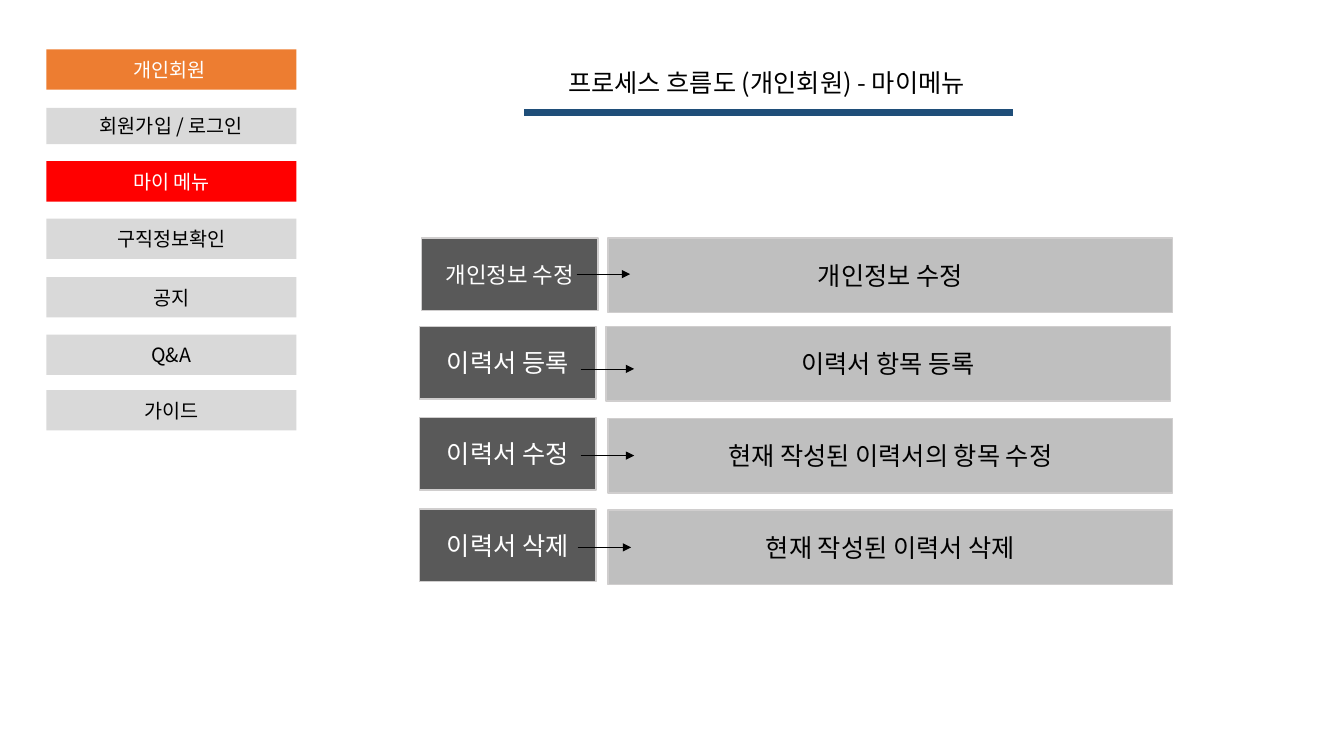
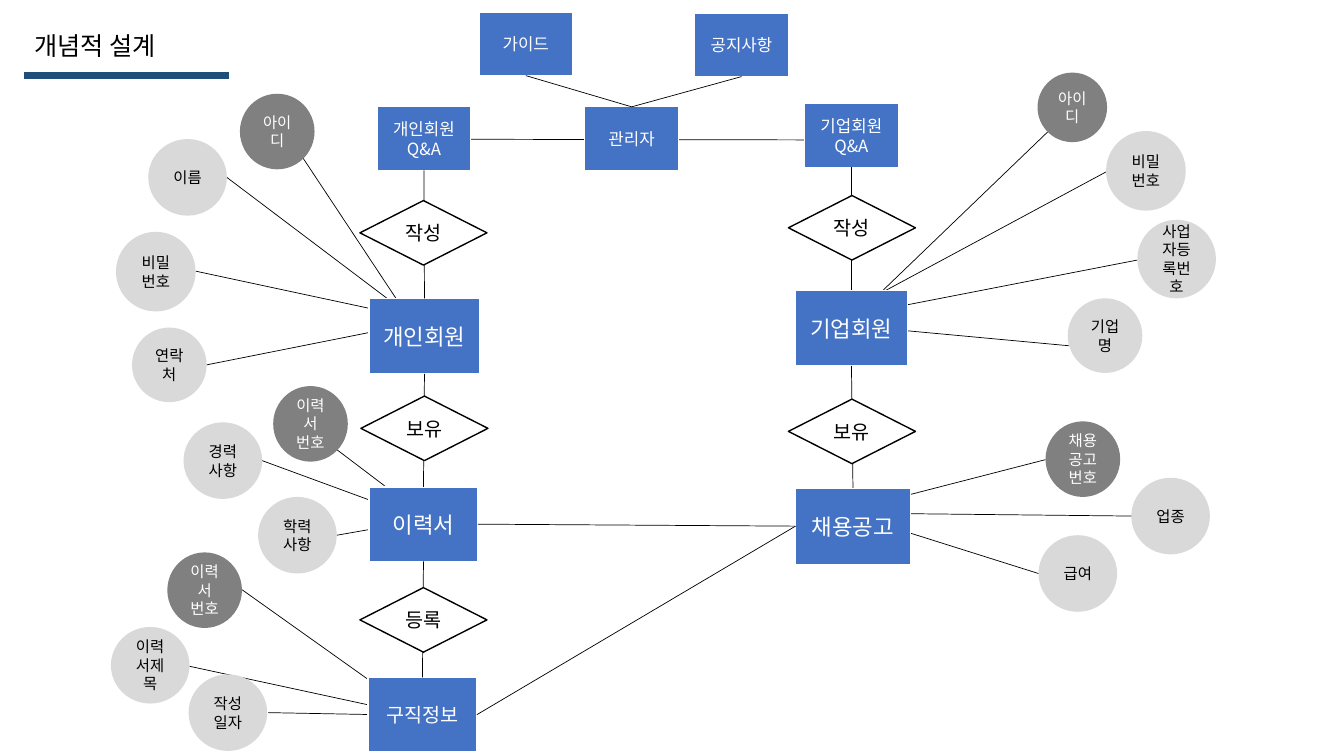
"""Build two slides: a member-menu process flow and a conceptual entity diagram."""
from lxml.etree import SubElement
from pptx import Presentation
from pptx.dml.color import RGBColor
from pptx.enum.shapes import MSO_CONNECTOR, MSO_SHAPE
from pptx.enum.text import MSO_ANCHOR, MSO_AUTO_SIZE, PP_ALIGN
from pptx.oxml.ns import qn
from pptx.util import Pt

EMU_PER_PX = 9144
SLIDE_WIDTH, SLIDE_HEIGHT = 1333, 750
FONT = "Noto Sans CJK KR"

BLACK = RGBColor(0x00, 0x00, 0x00)
WHITE = RGBColor(0xFF, 0xFF, 0xFF)
NAVY = RGBColor(0x1F, 0x4E, 0x79)
BLUE = RGBColor(0x44, 0x72, 0xC4)
ORANGE = RGBColor(0xED, 0x7D, 0x31)
RED = RGBColor(0xFF, 0x00, 0x00)
CHARCOAL = RGBColor(0x59, 0x59, 0x59)
GRAY = RGBColor(0x80, 0x80, 0x80)
SILVER = RGBColor(0xBF, 0xBF, 0xBF)
LIGHT_GRAY = RGBColor(0xD9, 0xD9, 0xD9)
BORDER_GRAY = RGBColor(0xD0, 0xCE, 0xCE)

MENU_STYLE = {"fill": LIGHT_GRAY, "color": BLACK, "size": 14}
STEP_STYLE = {"fill": CHARCOAL, "color": WHITE, "border": BORDER_GRAY}
RESULT_STYLE = {"fill": SILVER, "color": BLACK, "size": 18, "border": BORDER_GRAY}
ENTITY_STYLE = {"fill": BLUE, "color": WHITE, "border": WHITE}
RELATION_STYLE = {"fill": WHITE, "color": BLACK, "size": 14, "border": BLACK,
                  "preset": MSO_SHAPE.DIAMOND}
ATTRIBUTE_STYLE = {"fill": LIGHT_GRAY, "color": BLACK, "size": 11, "preset": MSO_SHAPE.OVAL}
KEY_STYLE = {**ATTRIBUTE_STYLE, "fill": GRAY, "color": WHITE}

FLOW_TITLE = {"text": "프로세스 흐름도 (개인회원) - 마이메뉴 ", "box": (520, 62, 486, 40),
              "align": PP_ALIGN.CENTER, "underline": (520, 112, 1005, 112)}
DESIGN_TITLE = {"text": "개념적 설계", "box": (24, 25, 211, 40),
                "align": PP_ALIGN.LEFT, "underline": (24, 75, 227, 75)}

MENU_LEFT, MENU_WIDTH = 46, 248
MENU = [
    ("개인회원 ", 49, 40, {"fill": ORANGE, "color": WHITE}),
    ("회원가입 / 로그인", 107, 36, {}),
    ("마이 메뉴", 160, 40, {"fill": RED, "color": WHITE}),
    ("구직정보확인", 217, 40, {}),
    ("공지", 275, 40, {}),
    ("Q&A", 332, 40, {}),
    ("가이드", 387, 40, {}),
]

STEP_SIZE, RESULT_SIZE, ARROW_LENGTH = (175, 72), (560, 74), 53
STEPS = [
    ("개인정보 수정", 16, (418, 236), "개인정보 수정", (603, 236), (572, 272)),
    ("이력서 등록", 18, (416, 324), "이력서 항목 등록", (601, 324), (576, 366)),
    ("이력서 수정", 18, (416, 414), "현재 작성된 이력서의 항목 수정", (603, 415), (576, 452)),
    ("이력서 삭제", 18, (416, 505), "현재 작성된 이력서 삭제", (603, 506), (573, 543)),
]

ENTITIES = [
    ("가이드", 12, (475, 12, 93, 63)),
    ("공지사항", 12, (689, 13, 93, 63)),
    ("관리자", 12, (580, 106, 93, 63)),
    ("개인회원\nQ&A", 12, (374, 106, 93, 63)),
    ("기업회원\nQ&A", 12, (798, 103, 93, 63)),
    ("개인회원", 16, (366, 296, 110, 75)),
    ("기업회원", 16, (789, 288, 111, 75)),
    ("이력서", 16, (366, 483, 108, 74)),
    ("채용공고", 16, (789, 484, 114, 76)),
    ("구직정보", 14, (365, 672, 108, 74)),
]

TOP, LEFT, BOTTOM, RIGHT = range(4)
LINKS = [
    ("가이드", BOTTOM, "관리자", TOP),
    ("공지사항", BOTTOM, "관리자", TOP),
    ("개인회원\nQ&A", BOTTOM, "개인회원", TOP),
    ("개인회원", BOTTOM, "이력서", TOP),
    ("이력서", BOTTOM, "구직정보", TOP),
    ("기업회원\nQ&A", BOTTOM, "기업회원", TOP),
    ("기업회원", BOTTOM, "채용공고", TOP),
    ("이력서", RIGHT, "채용공고", LEFT),
    ("구직정보", RIGHT, "채용공고", LEFT),
]
QUESTION_LINE = (374, 138, 891, 139)

RELATION_SIZE = (126, 64)
RELATIONS = [
    ("작성", (357, 199)), ("보유", (358, 393)), ("등록", (357, 583)),
    ("작성", (782, 194)), ("보유", (782, 396)),
]

KEY_ATTRIBUTES = [
    ("아이디", (238, 93, 74, 75), (300, 156, 400, 307)),
    ("이력서\n번호", (271, 383, 74, 75), (334, 446, 421, 512)),
    ("이력서\n번호", (166, 548, 74, 75), (240, 585, 403, 701)),
    ("아이디", (1029, 72, 69, 69), (1039, 131, 855, 308)),
    ("채용공고번호", (1037, 418, 74, 75), (1037, 456, 843, 506)),
]
ATTRIBUTES = [
    ("이름", (147, 138, 78, 76), (225, 176, 417, 321)),
    ("비밀번호", (115, 230, 79, 79), (194, 269, 418, 317)),
    ("연락처", (131, 325, 74, 74), (205, 362, 421, 319)),
    ("경력사항", (182, 419, 78, 76), (260, 457, 418, 515)),
    ("학력사항", (256, 493, 78, 76), (334, 531, 420, 516)),
    ("이력서제목", (110, 622, 78, 76), (188, 661, 401, 707)),
    ("작성일자", (187, 669, 78, 76), (266, 707, 428, 710)),
    ("비밀번호", (1097, 130, 79, 79), (1098, 170, 836, 311)),
    ("사업자등록번호", (1128, 218, 78, 78), (1128, 258, 835, 315)),
    ("기업명", (1059, 296, 74, 74), (1060, 343, 833, 322)),
    ("업종", (1122, 474, 78, 76), (1123, 512, 841, 509)),
    ("급여", (1030, 531, 78, 76), (1030, 569, 843, 510)),
]


def scale(lengths):
    return [length * EMU_PER_PX for length in lengths]


def write_text(shape, text, size, color, align):
    frame = shape.text_frame
    frame.text = text
    frame_format = {"word_wrap": True, "vertical_anchor": MSO_ANCHOR.MIDDLE}
    for name, value in frame_format.items():
        setattr(frame, name, value)
    font_format = {"name": FONT, "size": Pt(size), "bold": False}
    for paragraph in frame.paragraphs:
        paragraph.alignment = align
        for run in paragraph.runs:
            for name, value in font_format.items():
                setattr(run.font, name, value)
            run.font.color.rgb = color
            SubElement(run._r.get_or_add_rPr(), qn("a:ea"), typeface=FONT)


def add_box(slide, text, box, fill, color, size, border=None, preset=MSO_SHAPE.RECTANGLE):
    shape = slide.shapes.add_shape(preset, *scale(box))
    shape.shadow.inherit = False
    shape.fill.solid()
    shape.fill.fore_color.rgb = fill
    if border is None:
        shape.line.fill.background()
    else:
        shape.line.color.rgb = border
        shape.line.width = Pt(1)
    write_text(shape, text, size, color, PP_ALIGN.CENTER)
    return shape


def add_line(slide, points, color=BLACK, width=0.5, arrow=False):
    connector = slide.shapes.add_connector(MSO_CONNECTOR.STRAIGHT, *scale(points))
    connector.line.color.rgb = color
    connector.line.width = Pt(width)
    if arrow:
        SubElement(connector.line._get_or_add_ln(), qn("a:tailEnd"), type="triangle")
    SubElement(connector._element.spPr, qn("a:effectLst"))
    return connector


def add_titled_slide(presentation, title):
    slide = presentation.slides.add_slide(presentation.slide_layouts[5])
    shape = slide.shapes.title
    for name, value in zip(("left", "top", "width", "height"), scale(title["box"])):
        setattr(shape, name, value)
    write_text(shape, title["text"], 18, BLACK, title["align"])
    shape.text_frame.auto_size = MSO_AUTO_SIZE.SHAPE_TO_FIT_TEXT
    add_line(slide, title["underline"], NAVY, 5)
    return slide


def build_flow(presentation):
    slide = add_titled_slide(presentation, FLOW_TITLE)
    for text, top, height, accent in MENU:
        add_box(slide, text, (MENU_LEFT, top, MENU_WIDTH, height), **{**MENU_STYLE, **accent})
    for step, size, step_corner, result, result_corner, (left, top) in STEPS:
        add_box(slide, step, step_corner + STEP_SIZE, size=size, **STEP_STYLE)
        add_box(slide, result, result_corner + RESULT_SIZE, **RESULT_STYLE)
        add_line(slide, (left, top, left + ARROW_LENGTH, top), arrow=True)


def build_design(presentation):
    slide = add_titled_slide(presentation, DESIGN_TITLE)
    for points in [QUESTION_LINE] + [item[2] for item in KEY_ATTRIBUTES + ATTRIBUTES]:
        add_line(slide, points)
    entities = {text: add_box(slide, text, box, size=size, **ENTITY_STYLE)
                for text, size, box in ENTITIES}
    for start, start_site, end, end_site in LINKS:
        connector = add_line(slide, (0, 0, 0, 0))
        connector.begin_connect(entities[start], start_site)
        connector.end_connect(entities[end], end_site)
    for attributes, style in ((KEY_ATTRIBUTES, KEY_STYLE), (ATTRIBUTES, ATTRIBUTE_STYLE)):
        for text, box, _ in attributes:
            add_box(slide, text, box, **style)
    for text, corner in RELATIONS:
        add_box(slide, text, corner + RELATION_SIZE, **RELATION_STYLE)


def main():
    presentation = Presentation()
    presentation.slide_width, presentation.slide_height = scale((SLIDE_WIDTH, SLIDE_HEIGHT))
    build_flow(presentation)
    build_design(presentation)
    presentation.save("out.pptx")


if __name__ == "__main__":
    main()
